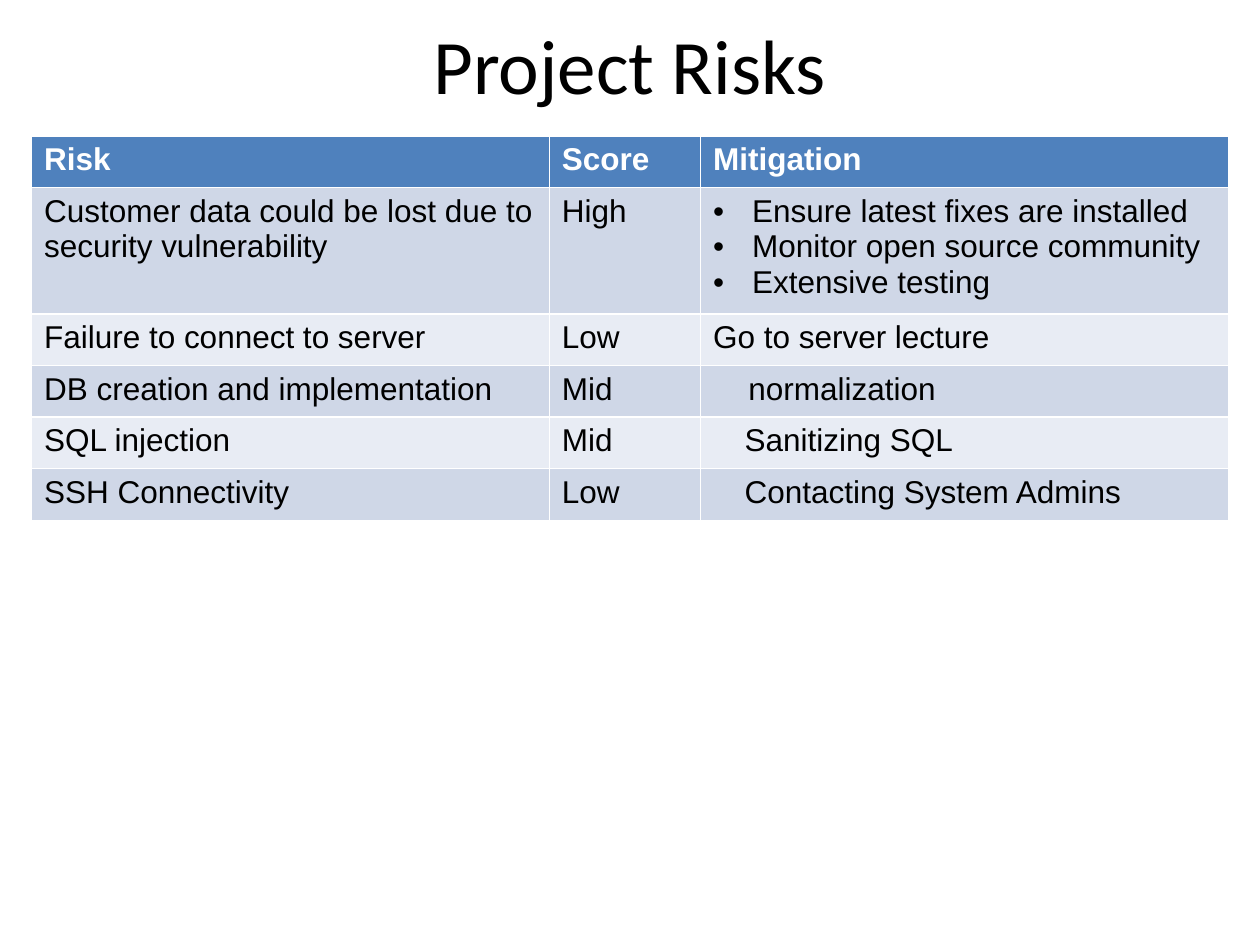
from pptx import Presentation
from pptx import util as u
from pptx.dml.color import RGBColor
from pptx.enum import text
from pptx.oxml import ns
from lxml import etree

BLACK = RGBColor(0x00, 0x00, 0x00)
WHITE = RGBColor(0xFF, 0xFF, 0xFF)
HEADER_BLUE = RGBColor(0x4F, 0x81, 0xBD)
BANDS = [RGBColor(0xE8, 0xEC, 0xF4), RGBColor(0xCF, 0xD7, 0xE7)]

TITLE_FONT = {"name": "Calibri", "size": u.Pt(44), "bold": False}
HEADER_FONT = {"name": "Arial", "size": u.Pt(18), "bold": True}
BODY_FONT = {**HEADER_FONT, "bold": False}

# Each row: risk, score, mitigation lines, left margin, hanging indent (inches)
RISKS = [
    ("Risk", "Score", ["Mitigation"], 0, 0),
    ("Customer data could be lost due to security vulnerability", "High",
     ["Ensure latest fixes are installed", "Monitor open source community",
      "Extensive testing"], 0.31, -0.31),
    ("Failure to connect to server", "Low", ["Go to server lecture"], 0.31, -0.31),
    ("DB creation and implementation", "Mid", ["normalization"], 0.28, 0),
    ("SQL injection", "Mid", ["Sanitizing SQL"], 0.5, -0.25),
    ("SSH Connectivity", "Low", ["Contacting System Admins"], 0.5, -0.25),
]
COLUMN_WIDTHS = [4.11, 1.2, 4.19]
ROW_HEIGHT = 0.41
BULLET_ROW_HEIGHT = 0.93


def write(paragraph, words, font_values, color):
    run = paragraph.add_run()
    run.text = words
    for name, value in font_values.items():
        setattr(run.font, name, value)
    run.font.color.rgb = color


presentation = Presentation()
presentation.slide_width, presentation.slide_height = u.Inches(10), u.Inches(7.5)
slide = presentation.slides.add_slide(presentation.slide_layouts[6])

# Title
title = slide.shapes.add_textbox(u.Inches(0.5), u.Inches(0.08), u.Inches(9), u.Inches(0.86))
title_format = {"word_wrap": True, "vertical_anchor": text.MSO_ANCHOR.MIDDLE}
for name, value in title_format.items():
    setattr(title.text_frame, name, value)
paragraph = title.text_frame.paragraphs[0]
paragraph.alignment = text.PP_ALIGN.CENTER
write(paragraph, "Project Risks", TITLE_FONT, BLACK)

# Table grid
row_heights = [BULLET_ROW_HEIGHT if len(risk[2]) > 1 else ROW_HEIGHT for risk in RISKS]
table = slide.shapes.add_table(
    len(RISKS), len(COLUMN_WIDTHS), u.Inches(0.25), u.Inches(1.08),
    u.Inches(sum(COLUMN_WIDTHS)), u.Inches(sum(row_heights))).table
for column, width in zip(table.columns, COLUMN_WIDTHS):
    column.width = u.Inches(width)
for row, height in zip(table.rows, row_heights):
    row.height = u.Inches(height)

# Table cells
for row_index, (risk, score, mitigation, margin, indent) in enumerate(RISKS):
    is_header = row_index == 0
    fill = HEADER_BLUE if is_header else BANDS[row_index % 2]
    font_values = HEADER_FONT if is_header else BODY_FONT
    color = WHITE if is_header else BLACK
    for column_index, lines in enumerate([[risk], [score], mitigation]):
        cell = table.cell(row_index, column_index)
        cell.fill.solid()
        cell.fill.fore_color.rgb = fill
        for line_index, line in enumerate(lines):
            frame = cell.text_frame
            paragraph = frame.add_paragraph() if line_index else frame.paragraphs[0]
            write(paragraph, line, font_values, color)
            if column_index == 2:
                properties = paragraph._p.get_or_add_pPr()
                properties.set("marL", str(u.Inches(margin)))
                properties.set("indent", str(u.Inches(indent)))
                if len(lines) > 1:
                    etree.SubElement(properties, ns.qn("a:buFont"), typeface="Arial")
                    etree.SubElement(properties, ns.qn("a:buChar"), char="•")

presentation.save("out.pptx")
